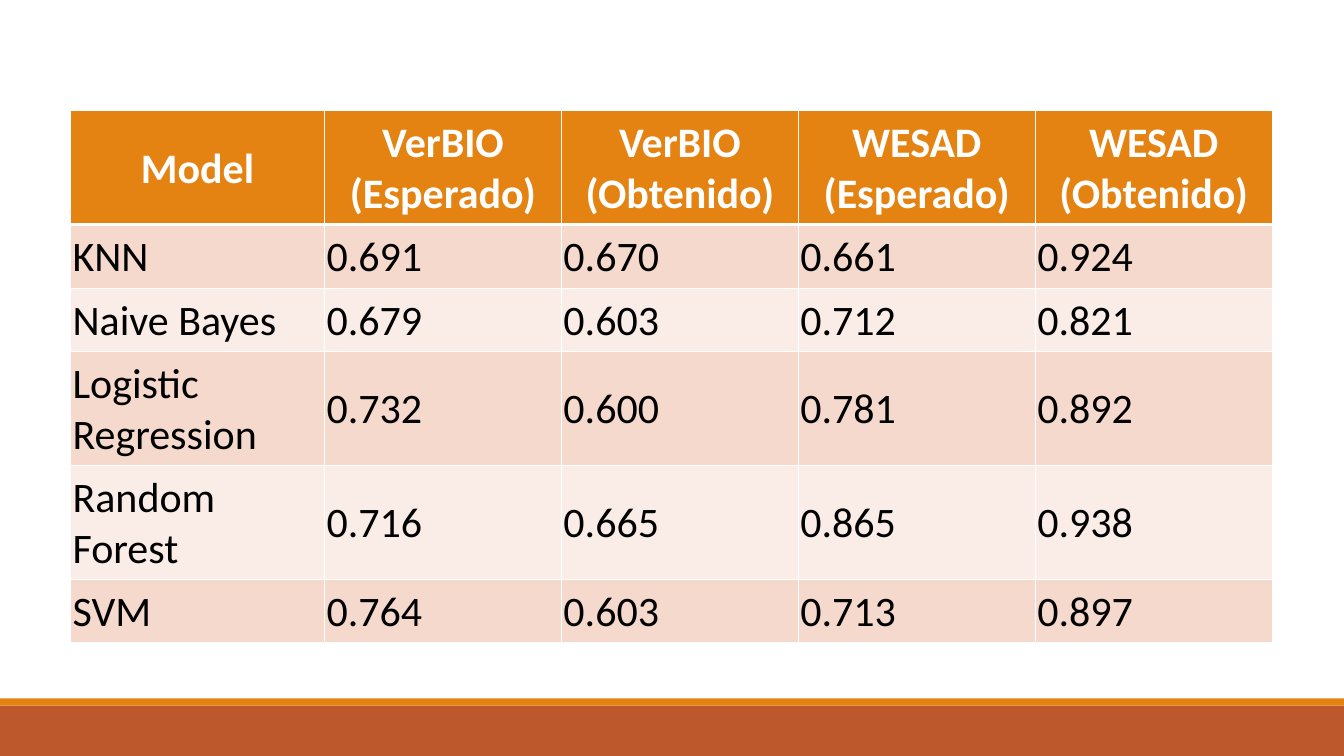
from dataclasses import dataclass

from lxml.etree import SubElement
from pptx import Presentation
from pptx.dml.color import RGBColor
from pptx.enum.shapes import MSO_SHAPE
from pptx.enum.text import MSO_ANCHOR, PP_ALIGN
from pptx.oxml.ns import qn
from pptx.slide import Slide
from pptx.table import _Cell
from pptx.util import Cm, Pt

WHITE = RGBColor(0xFF, 0xFF, 0xFF)
BLACK = RGBColor(0x00, 0x00, 0x00)
ORANGE = RGBColor(0xE4, 0x83, 0x12)
RUST = RGBColor(0xBD, 0x58, 0x2C)
PEACH = RGBColor(0xF5, 0xD9, 0xCC)
CREAM = RGBColor(0xFA, 0xED, 0xE7)

WIDTH = 33.87
INSET = Cm(0.05)
COLS = (6.4, 5.97, 5.97, 5.97, 5.97)
ROWS = (2.87, 1.6, 1.6, 2.87, 2.87, 1.6)
SCORES = (
    ("Model", "VerBIO (Esperado)", "VerBIO (Obtenido)", "WESAD (Esperado)", "WESAD (Obtenido)"),
    ("KNN", "0.691", "0.670", "0.661", "0.924"),
    ("Naive Bayes", "0.679", "0.603", "0.712", "0.821"),
    ("Logistic Regression", "0.732", "0.600", "0.781", "0.892"),
    ("Random Forest", "0.716", "0.665", "0.865", "0.938"),
    ("SVM", "0.764", "0.603", "0.713", "0.897"),
)


@dataclass(frozen=True)
class Band:
    top: float
    height: float
    color: RGBColor


@dataclass(frozen=True)
class Look:
    fill: RGBColor
    ink: RGBColor
    bold: bool
    align: PP_ALIGN
    upper: float = 1
    lower: float = 1


BANDS = (Band(17.78, 1.27, RUST), Band(17.6, 0.18, ORANGE))
HEAD = Look(ORANGE, WHITE, True, PP_ALIGN.CENTER, lower=3)
FIRST = Look(PEACH, BLACK, False, PP_ALIGN.LEFT, upper=3)
ODD = Look(PEACH, BLACK, False, PP_ALIGN.LEFT)
EVEN = Look(CREAM, BLACK, False, PP_ALIGN.LEFT)
LOOKS = (HEAD, FIRST, EVEN, ODD, EVEN, ODD)


def draw_band(slide: Slide, band: Band) -> None:
    shape = slide.shapes.add_shape(
        MSO_SHAPE.RECTANGLE, 0, Cm(band.top), Cm(WIDTH), Cm(band.height)
    )
    shape.shadow.inherit = False
    shape.fill.solid()
    shape.fill.fore_color.rgb = band.color
    shape.line.fill.background()


def draw_edges(cell: _Cell, look: Look) -> None:
    props = cell._tc.get_or_add_tcPr()
    edges = (("lnL", 1), ("lnR", 1), ("lnT", look.upper), ("lnB", look.lower))
    for tag, width in edges:
        line = SubElement(props, qn(f"a:{tag}"), w=str(Pt(width)))
        fill = SubElement(line, qn("a:solidFill"))
        SubElement(fill, qn("a:srgbClr"), val=str(WHITE))


def fill_cell(cell: _Cell, text: str, look: Look) -> None:
    draw_edges(cell, look)
    cell.fill.solid()
    cell.fill.fore_color.rgb = look.fill
    cell.vertical_anchor = MSO_ANCHOR.MIDDLE
    cell.margin_left = cell.margin_right = cell.margin_top = INSET
    cell.margin_bottom = 0
    cell.text_frame.text = text
    para = cell.text_frame.paragraphs[0]
    para.alignment = look.align
    font = para.runs[0].font
    font.name = "Calibri"
    font.size = Pt(30)
    font.bold = look.bold
    font.color.rgb = look.ink


def draw_table(slide: Slide) -> None:
    frame = slide.shapes.add_table(
        len(ROWS), len(COLS), Cm(1.78), Cm(2.79), Cm(sum(COLS)), Cm(sum(ROWS))
    )
    table = frame.table
    for col, width in zip(table.columns, COLS):
        col.width = Cm(width)
    for row, height, texts, look in zip(table.rows, ROWS, SCORES, LOOKS):
        row.height = Cm(height)
        for cell, text in zip(row.cells, texts):
            fill_cell(cell, text, look)


def main() -> None:
    deck = Presentation()
    deck.slide_width = Cm(WIDTH)
    deck.slide_height = Cm(19.05)
    slide = deck.slides.add_slide(deck.slide_layouts[6])
    for band in BANDS:
        draw_band(slide, band)
    draw_table(slide)
    deck.save("out.pptx")


if __name__ == "__main__":
    main()
